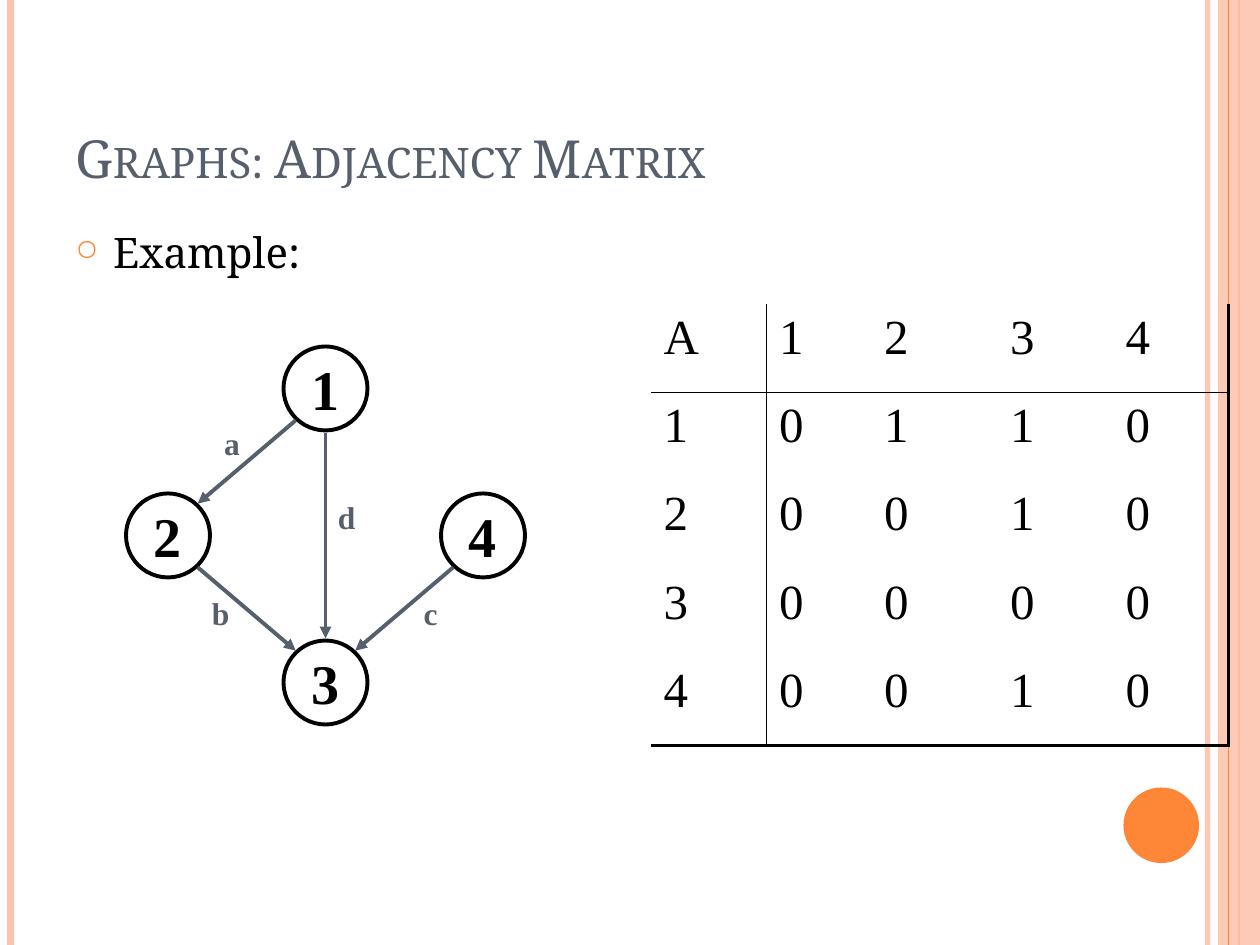
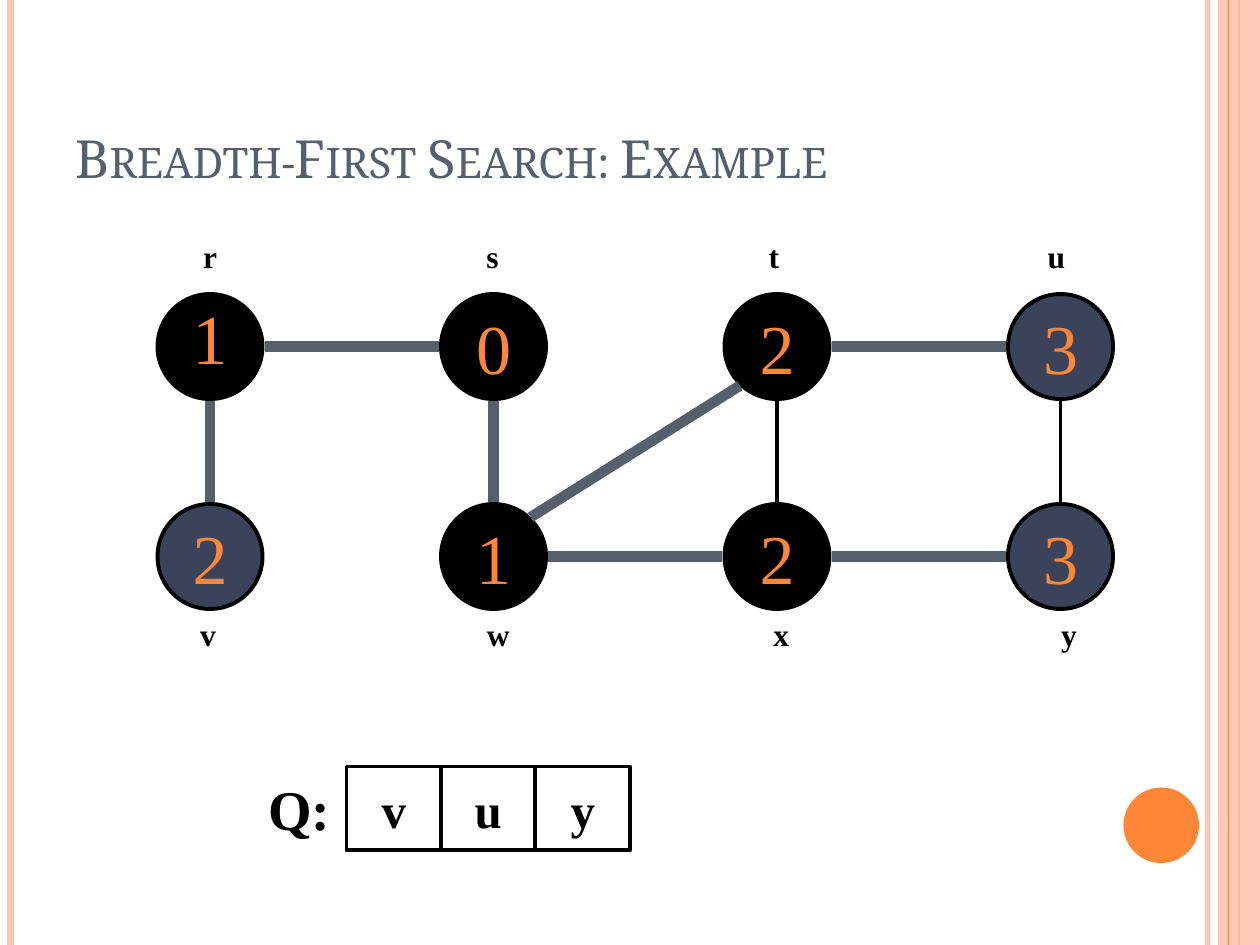
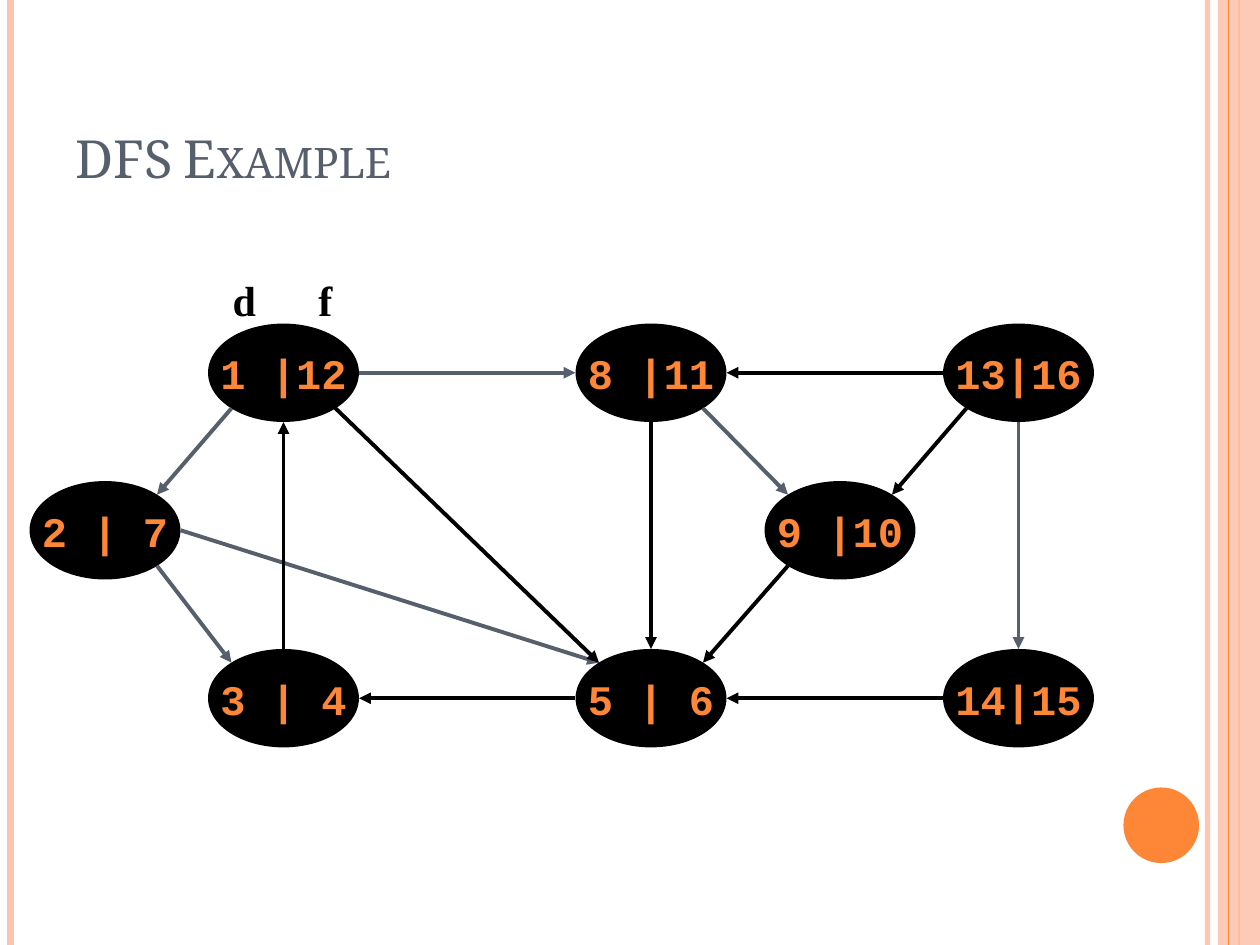
from dataclasses import dataclass
from math import sqrt

from lxml import etree
from pptx import Presentation
from pptx.dml.color import RGBColor
from pptx.enum.shapes import MSO_CONNECTOR, MSO_SHAPE
from pptx.enum.text import MSO_ANCHOR, PP_ALIGN
from pptx.oxml.ns import qn
from pptx.util import Inches, Pt

STRAIGHT = MSO_CONNECTOR.STRAIGHT
OVAL, RECT = MSO_SHAPE.OVAL, MSO_SHAPE.RECTANGLE
TOP, MIDDLE, BOTTOM = MSO_ANCHOR.TOP, MSO_ANCHOR.MIDDLE, MSO_ANCHOR.BOTTOM
LEFT, CENTER = PP_ALIGN.LEFT, PP_ALIGN.CENTER

BLACK = RGBColor(0x00, 0x00, 0x00)
SLATE = RGBColor(0x57, 0x5F, 0x6D)
NAVY = RGBColor(0x3B, 0x43, 0x5B)
ORANGE = RGBColor(0xFE, 0x86, 0x37)
PEACH = RGBColor(0xFE, 0xC3, 0xAE)

SERIF, TIMES, MONO = "Noto Serif", "Times New Roman", "Courier New"
TITLE_FONT = {"name": SERIF, "size": Pt(30)}
BODY_FONT = {"name": SERIF, "size": Pt(24)}
LABEL_FONT = {"name": TIMES, "size": Pt(18), "bold": True}
BIG_FONT = {"name": TIMES, "size": Pt(32), "bold": True}
QUEUE_FONT = {"name": TIMES, "size": Pt(28), "bold": True}
CELL_FONT = {"name": TIMES, "size": Pt(28)}
DISTANCE_FONT = {"name": TIMES, "size": Pt(40)}
TIME_FONT = {"name": MONO, "size": Pt(24), "bold": True}
HEADING_FONT = {"name": TIMES, "size": Pt(24), "bold": True}

# The slide is a grid of square cells, twelve to the inch.
COLS, ROWS, PER_INCH = 120, 90, 12
THIN, THICK = 2.25, 6
PAD = 0.2
DIAGONAL = sqrt(0.5)
COMPASS = {
    "n": (0, -1), "s": (0, 1), "e": (1, 0), "w": (-1, 0),
    "ne": (DIAGONAL, -DIAGONAL), "nw": (-DIAGONAL, -DIAGONAL),
    "se": (DIAGONAL, DIAGONAL), "sw": (-DIAGONAL, DIAGONAL),
}
NO_STYLE = "{2D5ABB26-0587-4C30-8999-92F81FD0307C}"


@dataclass
class Box:
    """A region of the slide in grid columns and rows."""
    col: float
    row: float
    cols: float
    rows: float

    def inner(self, col, row, cols, rows):
        """Return a box placed relative to this one."""
        return Box(self.col + col, self.row + row, cols, rows)

    def rim(self, direction):
        """Return the point just outside the inscribed ellipse."""
        dx, dy = COMPASS[direction]
        x = self.col + self.cols * (1 + dx) / 2
        y = self.row + self.rows * (1 + dy) / 2
        if dy:
            return x, y + (PAD if dy > 0 else -PAD)
        return x + PAD * dx, y

    def emu(self):
        """Return left, top, width and height for python-pptx."""
        return [grid(n) for n in (self.col, self.row, self.cols, self.rows)]


def grid(cells):
    """Turn grid cells into a length."""
    return Inches(cells / PER_INCH)


def add_xml(parent, tag, **attributes):
    """Append a drawing element and return it."""
    return etree.SubElement(parent, qn(tag), attributes)


def set_alpha(spPr, percent):
    """Make the first colour of a shape partly transparent."""
    colour = next(spPr.iter(qn("a:srgbClr")))
    add_xml(colour, "a:alpha", val=str(percent * 1000))


def write(frame, text, font, colour=BLACK, align=CENTER, anchor=MIDDLE, wrap=False):
    """Fill a text frame with one paragraph and return the paragraph."""
    frame.word_wrap = wrap
    frame.vertical_anchor = anchor
    paragraph = frame.paragraphs[0]
    paragraph.alignment = align
    run = paragraph.add_run()
    run.text = text
    for key, value in font.items():
        setattr(run.font, key, value)
    run.font.color.rgb = colour
    return paragraph


def add_text(slide, box, text, font, **options):
    """Add a text box and return its frame and paragraph."""
    frame = slide.shapes.add_textbox(*box.emu()).text_frame
    return frame, write(frame, text, font, **options)


def add_figure(slide, kind, box, fill=None, outline=BLACK):
    """Add a preset shape without shadow."""
    figure = slide.shapes.add_shape(kind, *box.emu())
    figure.shadow.inherit = False
    if fill is None:
        figure.fill.background()
    else:
        figure.fill.solid()
        figure.fill.fore_color.rgb = fill
    if outline is None:
        figure.line.fill.background()
    else:
        figure.line.color.rgb = outline
        figure.line.width = Pt(THIN)
    return figure


def add_line(slide, start, end, colour, width, arrow=False, alpha=None):
    """Draw a straight line between two grid points."""
    ends = [grid(n) for n in (*start, *end)]
    line = slide.shapes.add_connector(STRAIGHT, *ends)
    line.line.color.rgb = colour
    line.line.width = Pt(width)
    spPr = line._element.spPr
    if arrow:
        add_xml(spPr.find(qn("a:ln")), "a:tailEnd", type="triangle")
    if alpha:
        set_alpha(spPr, alpha)
    add_xml(spPr, "a:effectLst")


def add_frame(slide, title):
    """Draw the side bands, the corner disc and the title."""
    def stripe(col, colour, width, alpha=None):
        add_line(slide, (col, 0), (col, ROWS), colour, width, alpha=alpha)

    stripe(115, PEACH, 3, alpha=93)
    stripe(1, PEACH, 4.5)
    stripe(118, ORANGE, 1.5)
    band = add_figure(slide, RECT, Box(116, 0, COLS - 116, ROWS), PEACH, None)
    set_alpha(band._element.spPr, 87)
    stripe(117, ORANGE, 0.75)
    add_figure(slide, OVAL, Box(107, 75, 7.2, 7.2), ORANGE, None)
    _, heading = add_text(slide, Box(6, 3.6, 101, 15), title, TITLE_FONT,
                          colour=SLATE, align=LEFT, anchor=BOTTOM, wrap=True)
    heading.runs[0].font._element.set("cap", "small")


def add_bullet(slide, box, text):
    """Add a body paragraph with a ring bullet."""
    _, item = add_text(slide, box, text, BODY_FONT, align=LEFT, anchor=TOP, wrap=True)
    item.space_before = Pt(6)
    pPr = item._p.get_or_add_pPr()
    pPr.set("marL", str(Inches(0.3)))
    pPr.set("indent", str(-Inches(0.3)))
    add_xml(add_xml(pPr, "a:buClr"), "a:srgbClr", val=str(ORANGE))
    add_xml(pPr, "a:buSzPct", val="70000")
    add_xml(pPr, "a:buChar", char="\u25cb")


def add_nodes(slide, box, nodes, size, font, colour):
    """Place ellipses; return their boxes and paragraphs by key."""
    places, paragraphs = {}, {}
    for key, (col, row, text, fill) in nodes.items():
        places[key] = box.inner(col, row, *size)
        node = add_figure(slide, OVAL, places[key], fill)
        paragraphs[key] = write(node.text_frame, text, font, colour)
    return places, paragraphs


def add_edges(slide, places, edges, colour, width=THIN, arrow=True):
    """Join nodes; an edge reads: from, side, to, side."""
    for edge in edges:
        source, leaving, target, entering = edge.split()
        add_line(slide, places[source].rim(leaving), places[target].rim(entering),
                 colour, width, arrow)


def add_labels(slide, box, labels, colour):
    """Centre small letters on points of the box."""
    for text, (col, row) in labels.items():
        add_text(slide, box.inner(col - 2, row - 2.6, 4, 5.2), text, LABEL_FONT,
                 colour=colour, anchor=TOP)


def add_matrix(slide, box, widths, rows):
    """Add the adjacency matrix with a ruled head row and head column."""
    table = slide.shapes.add_table(len(rows), len(widths), *box.emu()).table
    table.first_row = table.horz_banding = False
    table._tbl.tblPr.find(qn("a:tableStyleId")).text = NO_STYLE
    for column, width in zip(table.columns, widths):
        column.width = grid(width)
    last_row, last_col = len(rows) - 1, len(widths) - 1
    for r, values in enumerate(rows):
        table.rows[r].height = grid(box.rows / len(rows))
        for c, value in enumerate(values):
            cell = table.cell(r, c)
            cell.fill.background()
            paragraph = write(cell.text_frame, value, CELL_FONT,
                              align=LEFT, anchor=TOP, wrap=True)
            paragraph.space_before = Pt(5.6)
            borders = {
                "a:lnL": 1 if c == 1 else 0,
                "a:lnR": {0: 1, last_col: THIN}.get(c, 0),
                "a:lnT": 1 if r == 1 else 0,
                "a:lnB": {0: 1, last_row: THIN}.get(r, 0),
            }
            rule_cell(cell, borders)


def rule_cell(cell, borders):
    """Set the four borders of a cell, ahead of its fill."""
    tcPr = cell._tc.get_or_add_tcPr()
    for place, (tag, width) in enumerate(borders.items()):
        border = etree.Element(qn(tag), w=str(Pt(width)))
        if width:
            add_xml(add_xml(border, "a:solidFill"), "a:srgbClr", val=str(BLACK))
        else:
            add_xml(border, "a:noFill")
        tcPr.insert(place, border)


def add_queue(slide, box, name, items):
    """Draw the queue name followed by one cell for each item."""
    width = box.cols / (len(items) + 1)
    add_text(slide, box.inner(0, 0, width, box.rows), name, BIG_FONT)
    for i, item in enumerate(items, 1):
        slot = add_figure(slide, RECT, box.inner(i * width, 0, width, box.rows))
        write(slot.text_frame, item, QUEUE_FONT)


def matrix_slide(slide):
    """Show a directed graph beside its adjacency matrix."""
    add_frame(slide, "Graphs: Adjacency Matrix")
    add_bullet(slide, Box(6, 21, 101, 64), "Example:")
    graph = Box(12, 33, 38, 36)
    spots = {"1": (15, 0), "2": (0, 14), "4": (30, 14), "3": (15, 28)}
    nodes = {key: (*spot, key, None) for key, spot in spots.items()}
    places, _ = add_nodes(slide, graph, nodes, (8, 8), BIG_FONT, BLACK)
    add_edges(slide, places,
              ["1 sw 2 ne", "2 se 3 nw", "4 sw 3 ne", "1 s 3 n"], SLATE)
    add_labels(slide, graph, {"a": (10.1, 9.4), "d": (21, 16.4),
                              "b": (9, 25.6), "c": (29, 25.6)}, SLATE)
    add_matrix(slide, Box(62, 29, 55, 42), (11, 10, 12, 11, 11),
               ["A1234", "10110", "20010", "30000", "40010"])


def breadth_first_slide(slide):
    """Show a search in progress with its queue."""
    add_frame(slide, "Breadth-First Search: Example")
    graph = Box(15, 22, 91, 41)
    waiting = "vuy"
    nodes = {}
    for row, names, distances in ((6, "rstu", "1023"), (26, "vwxy", "2123")):
        for i, (name, distance) in enumerate(zip(names, distances)):
            fill = NAVY if name in waiting else BLACK
            nodes[name] = (27 * i, row, distance, fill)
    places, paragraphs = add_nodes(slide, graph, nodes, (10, 10), DISTANCE_FONT, ORANGE)
    paragraphs["r"].line_spacing = 0.7
    add_labels(slide, graph, {
        "r": (5, 2.6), "s": (31.9, 2.6), "t": (58.7, 2.6), "u": (85.6, 2.6),
        "v": (4.8, 38.6), "w": (32.2, 38.6), "x": (59.4, 38.6), "y": (86.8, 38.6),
    }, BLACK)
    add_edges(slide, places,
              ["v n r s", "r e s w", "s s w n", "w ne t sw",
               "w e x w", "t e u w", "x e y w"], SLATE, THICK, arrow=False)
    add_edges(slide, places, ["x n t s", "y n u s"], BLACK, arrow=False)
    add_queue(slide, Box(24, 73, 36, 8), "Q:", waiting)


def depth_first_slide(slide):
    """Show discovery and finishing times of every node."""
    add_frame(slide, "DFS Example")
    graph = Box(3, 31, 101, 40)
    spots = {
        "1 |12": (17, 0), "8 |11": (52, 0), "13|16": (87, 0),
        "14|15": (87, 31), "5 | 6": (52, 31), "3 | 4": (17, 31),
        "2 | 7": (0, 15), "9 |10": (70, 15),
    }
    nodes = {times.split("|")[0].strip(): (*spot, times, BLACK)
             for times, spot in spots.items()}
    places, _ = add_nodes(slide, graph, nodes, (14, 9), TIME_FONT, ORANGE)
    add_edges(slide, places,
              ["1 sw 2 ne", "2 se 3 nw", "2 e 5 nw", "1 e 8 w",
               "8 se 9 nw", "13 s 14 n"], SLATE)
    add_edges(slide, places,
              ["5 w 3 e", "3 n 1 s", "1 se 5 nw", "8 s 5 n", "13 w 8 e",
               "13 sw 9 ne", "14 w 5 e", "9 sw 5 ne"], BLACK)
    frame, headings = add_text(slide, graph.inner(17, -7, 14, 9), "d\tf",
                               HEADING_FONT, align=LEFT, wrap=True)
    frame.margin_left, frame.margin_right = Inches(0.18), 0
    tabs = add_xml(headings._p.get_or_add_pPr(), "a:tabLst")
    add_xml(tabs, "a:tab", pos=str(Inches(0.68)), algn="l")


def main():
    """Build the presentation."""
    deck = Presentation()
    deck.slide_width, deck.slide_height = grid(COLS), grid(ROWS)
    blank = deck.slide_layouts[6]
    for build in (matrix_slide, breadth_first_slide, depth_first_slide):
        build(deck.slides.add_slide(blank))
    deck.save("out.pptx")


main()
